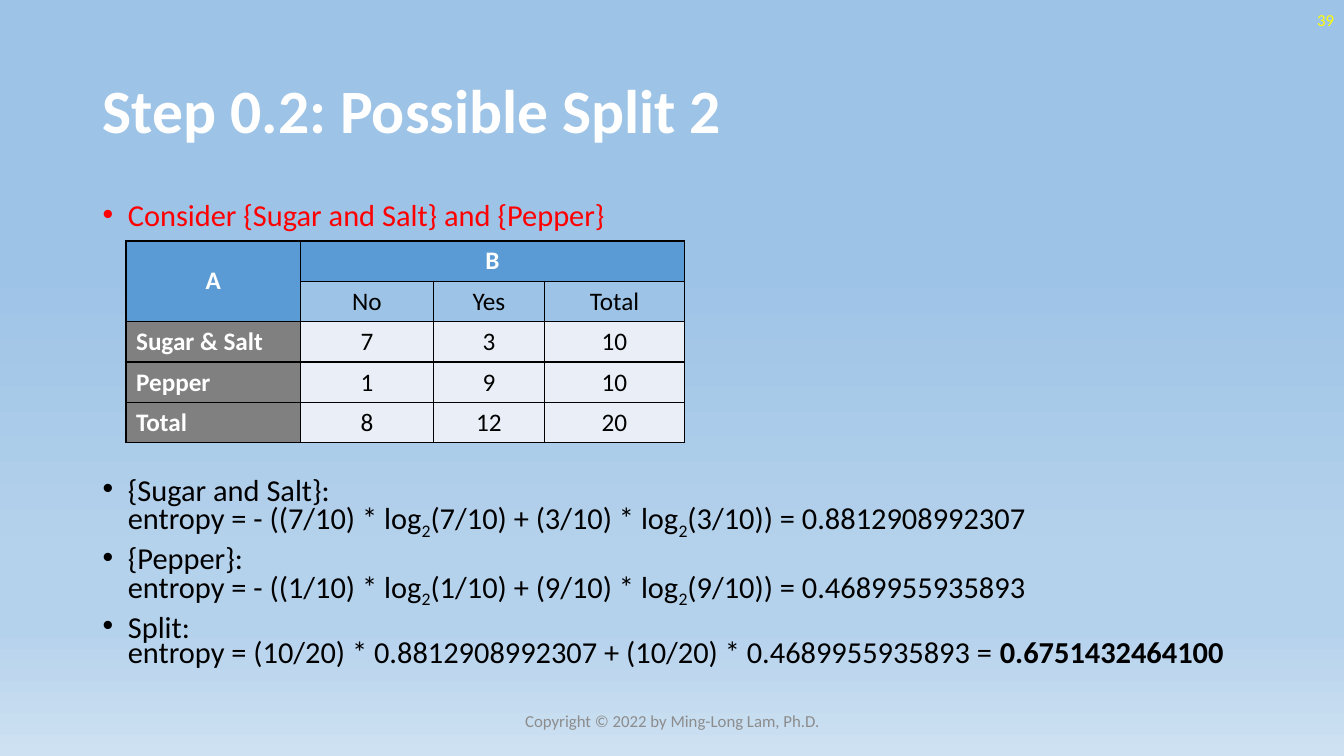
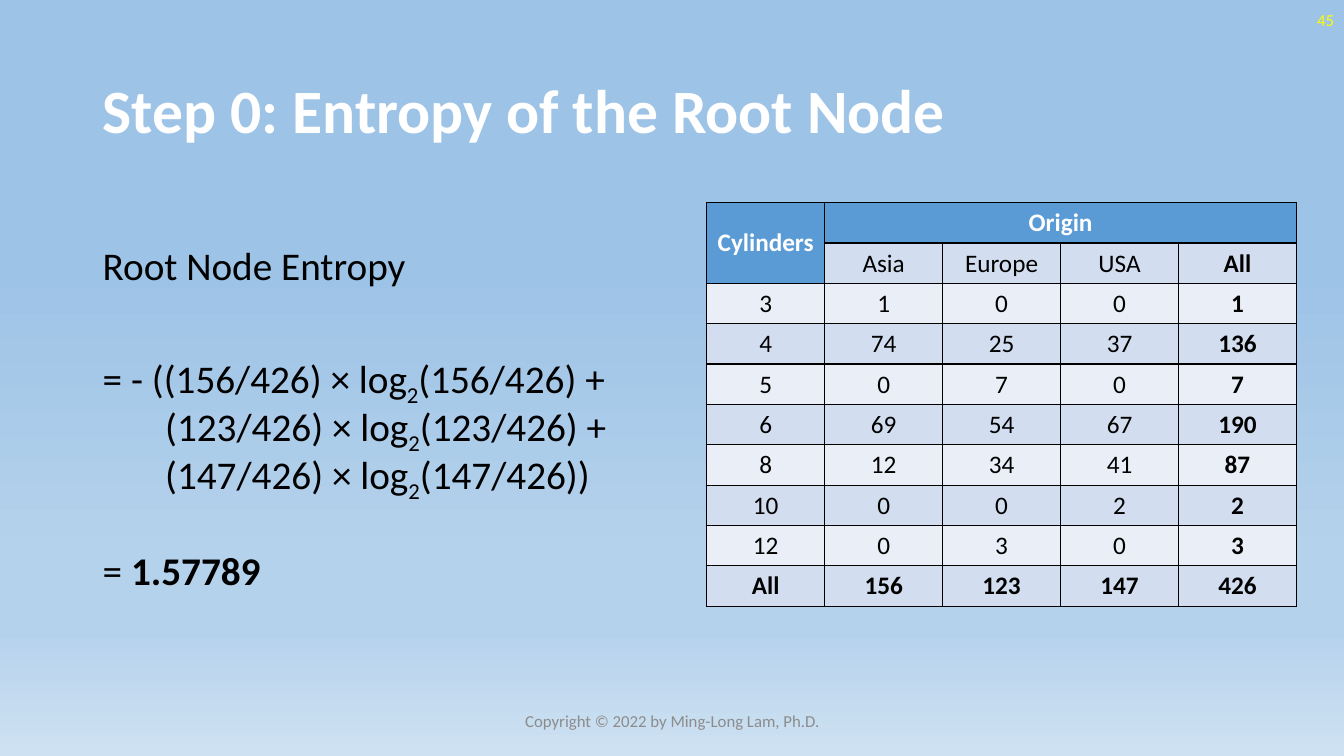
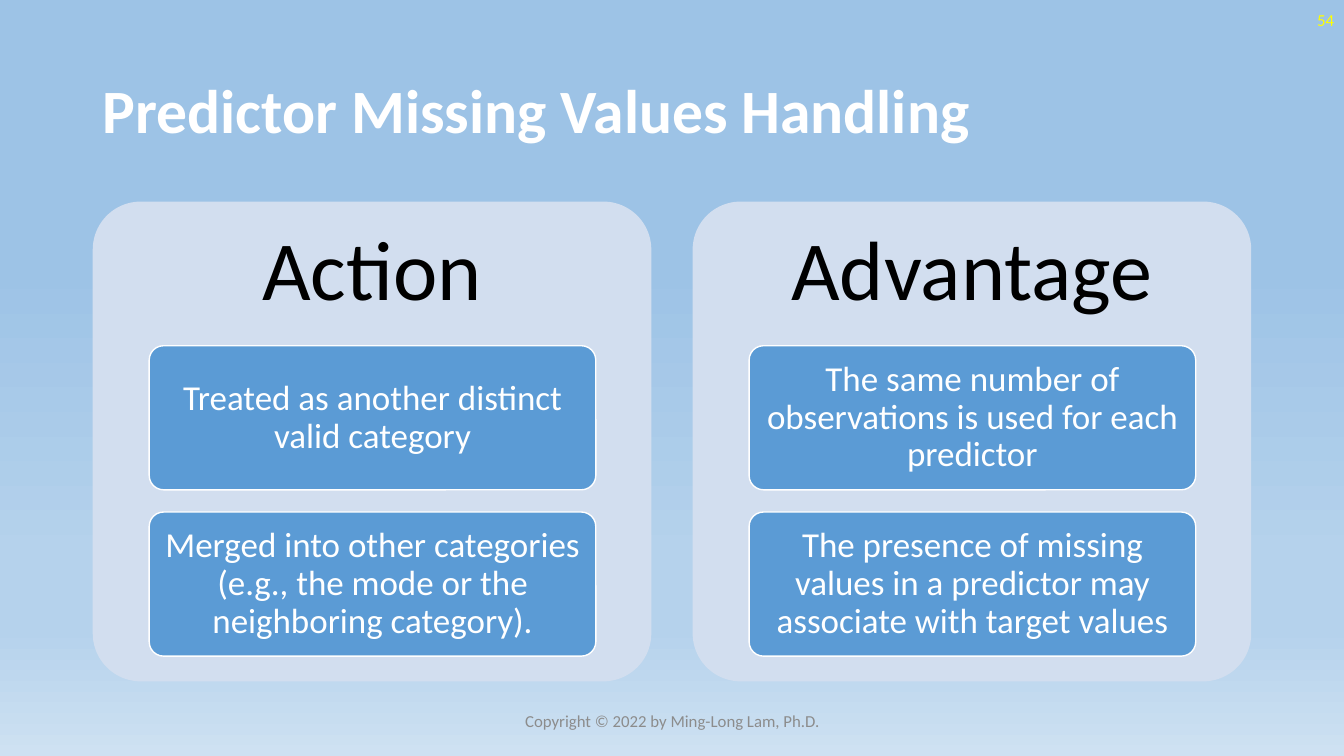
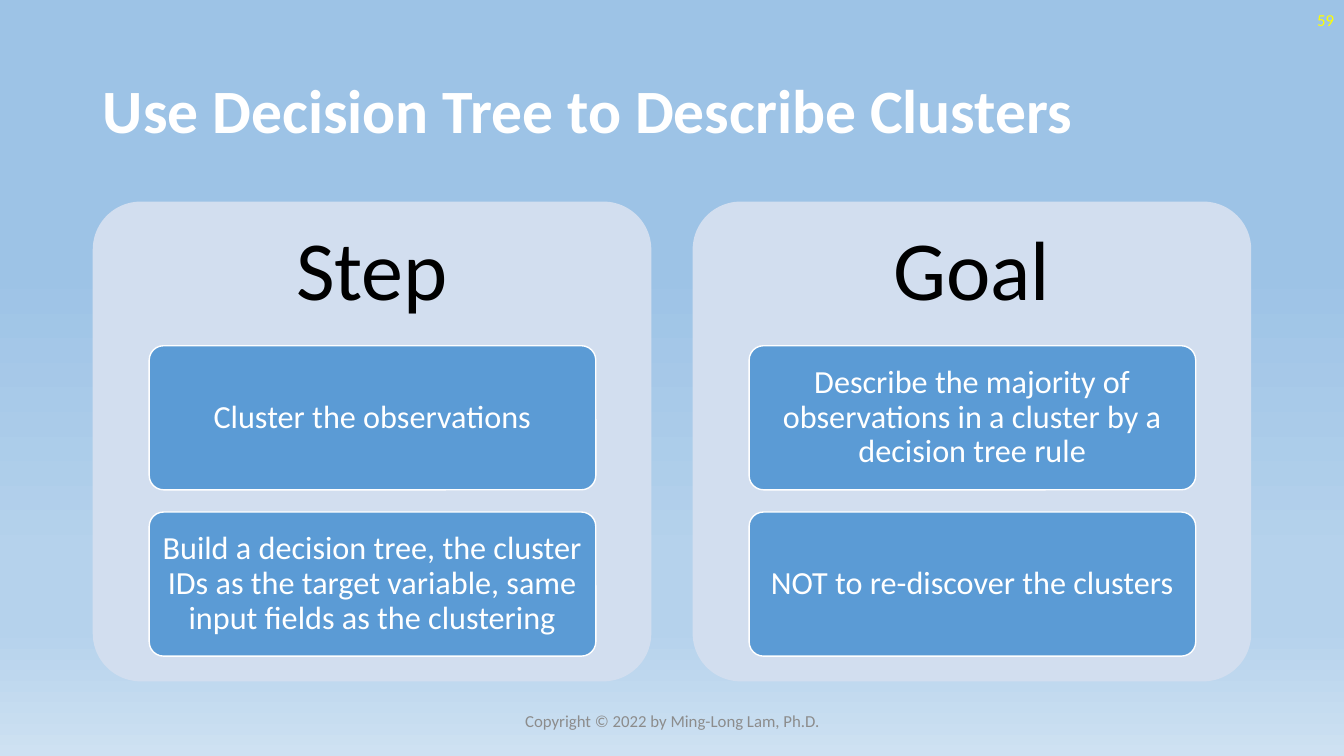
"""Build four lecture slides on decision trees and entropy."""
from dataclasses import dataclass

from lxml import etree
from pptx import Presentation
from pptx import util as u
from pptx.dml import color
from pptx.enum import shapes, text
from pptx.oxml import ns

EMU_PER_PX = 9144


@dataclass(frozen=True)
class Theme:
    """Colours and type sizes used on every slide."""
    font: str = "Calibri"
    white: str = "FFFFFF"
    black: str = "000000"
    red: str = "FF0000"
    yellow: str = "FFFF00"
    footer_grey: str = "8C8C8C"
    label_grey: str = "808080"
    blue: str = "5B9BD5"
    sky: str = "9DC3E6"
    pale: str = "D2DEEF"
    paler: str = "EAEFF7"
    backdrop: tuple = ((35, "9DC3E6"), (74, "B5D2EC"), (83, "B5D2EC"), (100, "CEE1F2"))
    title: float = 44
    heading: float = 60
    formula: float = 28
    bullet: float = 21.7
    cell: float = 18
    small: float = 12


THEME = Theme()
CENTER, LEFT, RIGHT = text.PP_ALIGN.CENTER, text.PP_ALIGN.LEFT, text.PP_ALIGN.RIGHT
MIDDLE, TOP = text.MSO_ANCHOR.MIDDLE, text.MSO_ANCHOR.TOP


def px(length):
    """Turn px into EMU."""
    return u.Emu(length * EMU_PER_PX)


def rgb(value):
    """Turn a hex string into a colour."""
    return color.RGBColor.from_string(value)


def write(para, spans, size, colour, bold=False, align=LEFT, spacing=None):
    """Add spans, each a string or a (string, kind) pair, to a paragraph."""
    para.alignment = align
    if spacing:
        para.line_spacing = spacing
    for span in spans:
        words, kind = (span, "") if isinstance(span, str) else span
        for index, line in enumerate(words.split("\n")):
            if index:
                para.add_line_break()
            run = para.add_run()
            run.text = line
            run.font.name = THEME.font
            run.font.size = u.Pt(size)
            run.font.bold = bold or kind == "bold"
            run.font.color.rgb = rgb(colour)
            if kind == "sub":
                run.font._element.set("baseline", "-25000")


def hang(para, indent, bullet_colour=None):
    """Give a paragraph a hanging indent, with a bullet if a colour is given."""
    props = para._p.get_or_add_pPr()
    props.set("marL", str(px(indent)))
    props.set("indent", str(-px(indent)))
    if bullet_colour:
        tint = etree.SubElement(props, ns.qn("a:buClr"))
        etree.SubElement(tint, ns.qn("a:srgbClr"), val=bullet_colour)
        etree.SubElement(props, ns.qn("a:buFont"), typeface="Arial")
        etree.SubElement(props, ns.qn("a:buChar"), char="•")


def add_box(page, left, top, width, height, anchor=TOP):
    """Add a wrapping text box and return its frame."""
    frame = page.shapes.add_textbox(px(left), px(top), px(width), px(height)).text_frame
    frame.word_wrap = True
    frame.vertical_anchor = anchor
    return frame


def next_para(frame, index):
    """Return the first paragraph of a frame or a new one."""
    return frame.add_paragraph() if index else frame.paragraphs[0]


def add_bullets(page, top, height, items, colour):
    """Add a list of bulleted paragraphs."""
    frame = add_box(page, 92, top, 1150, height)
    for index, spans in enumerate(items):
        para = next_para(frame, index)
        hang(para, 25, colour)
        if index:
            para.space_before = u.Pt(10)
        write(para, spans, THEME.bullet, colour, spacing=0.7)


def set_backdrop(deck):
    """Put the shared gradient on the slide master."""
    fill = deck.slide_master.background.fill
    fill.gradient()
    fill.gradient_angle = 270
    stops = deck.slide_master.element.xpath(".//p:bg//a:gsLst")[0]
    for stop in list(stops):
        stops.remove(stop)
    for percent, value in THEME.backdrop:
        stop = etree.SubElement(stops, ns.qn("a:gs"), pos=str(percent * 1000))
        etree.SubElement(stop, ns.qn("a:srgbClr"), val=value)


def add_page(deck, title, number):
    """Add a slide with title, footer and page number."""
    page = deck.slides.add_slide(deck.slide_layouts[5])
    box = page.shapes.title
    box.left, box.top, box.width, box.height = px(92), px(40), px(1150), px(145)
    box.text_frame.vertical_anchor = MIDDLE
    write(box.text_frame.paragraphs[0], [title], THEME.title, THEME.white, True, spacing=0.9)
    footer = add_box(page, 442, 695, 450, 40, MIDDLE)
    write(footer.paragraphs[0], ["Copyright © 2022 by Ming-Long Lam, Ph.D."],
          THEME.small, THEME.footer_grey, align=CENTER)
    corner = add_box(page, 1033, 0, 300, 40, MIDDLE)
    write(corner.paragraphs[0], [str(number)], THEME.small, THEME.yellow, align=RIGHT)
    return page


def add_borders(cell):
    """Draw a thin black line on each side of a cell."""
    props = cell._tc.get_or_add_tcPr()
    for index, side in enumerate(("a:lnL", "a:lnR", "a:lnT", "a:lnB")):
        line = etree.Element(ns.qn(side), w=str(u.Pt(1)))
        fill = etree.SubElement(line, ns.qn("a:solidFill"))
        etree.SubElement(fill, ns.qn("a:srgbClr"), val=THEME.black)
        props.insert(index, line)


def add_grid(page, left, top, widths, rows, style):
    """Add a table with a two-row header; style gives fill, colour, bold, alignment."""
    row_height = 40
    table = page.shapes.add_table(len(rows), len(widths), px(left), px(top), px(sum(widths)),
                                  px(row_height * len(rows))).table
    table.first_row = table.horz_banding = False
    for column, width in zip(table.columns, widths):
        column.width = px(width)
    for r, row in enumerate(rows):
        for c, value in enumerate(row):
            cell = table.cell(r, c)
            fill, colour, bold, align = style(r, c)
            cell.fill.solid()
            cell.fill.fore_color.rgb = rgb(fill)
            cell.vertical_anchor = MIDDLE
            add_borders(cell)
            if value is not None:
                write(cell.text_frame.paragraphs[0], [str(value)], THEME.cell, colour, bold, align)
    table.cell(0, 0).merge(table.cell(1, 0))
    table.cell(0, 1).merge(table.cell(0, len(widths) - 1))


def split_style(r, c):
    """Style the cells of the split table."""
    if r == 0 or (r == 1 and c == 0):
        return THEME.blue, THEME.white, True, CENTER
    if c == 0:
        return THEME.label_grey, THEME.white, True, LEFT
    return THEME.sky if r == 1 else THEME.paler, THEME.black, False, CENTER


def origin_style(r, c):
    """Style the cells of the origin table."""
    if r == 0 or (r == 1 and c == 0):
        return THEME.blue, THEME.white, True, CENTER
    return THEME.pale if r % 2 else THEME.paler, THEME.black, r == 9 or c == 4, CENTER


def add_round_box(page, left, top, width, height, fill, outline=None):
    """Add a rounded rectangle and return its frame."""
    box = page.shapes.add_shape(shapes.MSO_SHAPE.ROUNDED_RECTANGLE,
                                px(left), px(top), px(width), px(height))
    box.adjustments[0] = 0.1
    box.shadow.inherit = False
    box.fill.solid()
    box.fill.fore_color.rgb = rgb(fill)
    if outline:
        box.line.color.rgb = rgb(outline)
        box.line.width = u.Pt(1)
    else:
        box.line.fill.background()
    frame = box.text_frame
    frame.word_wrap = True
    frame.vertical_anchor = MIDDLE
    return frame


def add_panels(page, panels, card_size):
    """Add side-by-side panels, each with a heading and stacked cards."""
    panel_height, card_height = 476, 143
    for column, (heading, cards) in enumerate(panels):
        left = 92 + 595 * column
        frame = add_round_box(page, left, 200, 554, panel_height, THEME.pale)
        frame.margin_top = 0
        frame.margin_bottom = px(panel_height - card_height)
        write(frame.paragraphs[0], [heading], THEME.heading, THEME.black,
              align=CENTER, spacing=0.9)
        for row, words in enumerate(cards):
            card = add_round_box(page, left + 56, 343 + 165 * row, 443, card_height,
                                 THEME.blue, THEME.white)
            card.margin_left = card.margin_right = px(6)
            write(card.paragraphs[0], [words], card_size, THEME.white,
                  align=CENTER, spacing=0.9)


def group_entropy(name, first, second, result):
    """Return the spans for the entropy of one group of ten."""
    return [f"{{{name}}}:\nentropy = - (({first}/10) * log", ("2", "sub"),
            f"({first}/10) + ({second}/10) * log", ("2", "sub"),
            f"({second}/10)) = {result}"]


def split_page(deck):
    """Build the slide on the second possible split."""
    page = add_page(deck, "Step 0.2: Possible Split 2", 39)
    add_bullets(page, 200, 36, [["Consider {Sugar and Salt} and {Pepper}"]], THEME.red)
    add_bullets(page, 472, 204, [
        group_entropy("Sugar and Salt", 7, 3, "0.8812908992307"),
        group_entropy("Pepper", 1, 9, "0.4689955935893"),
        ["Split:\nentropy = (10/20) * 0.8812908992307 + (10/20) * 0.4689955935893 = ",
         ("0.6751432464100", "bold")],
    ], THEME.black)
    add_grid(page, 125, 239, [173, 132, 110, 139], [
        ["A", "B", None, None],
        [None, "No", "Yes", "Total"],
        ["Sugar & Salt", 7, 3, 10],
        ["Pepper", 1, 9, 10],
        ["Total", 8, 12, 20],
    ], split_style)


def root_page(deck):
    """Build the slide on the entropy of the root node."""
    page = add_page(deck, "Step 0: Entropy of the Root Node", 45)
    frame = add_box(page, 92, 240, 609, 380)
    formula = ["= - ("]
    for count, ending in ((156, " +\n"), (123, " +\n"), (147, ")")):
        formula += [f"({count}/426) × log", ("2", "sub"), f"({count}/426){ending}"]
    lines = ((0, ["Root Node Entropy"]), (47, formula), (37, ["= ", ("1.57789", "bold")]))
    for index, (gap, spans) in enumerate(lines):
        para = next_para(frame, index)
        hang(para, 62)
        if gap:
            para.space_before = u.Pt(gap)
        write(para, spans, THEME.formula, THEME.black, spacing=0.9)
    add_grid(page, 701, 201, [117] * 5, [
        ["Cylinders", "Origin", None, None, None],
        [None, "Asia", "Europe", "USA", "All"],
        [3, 1, 0, 0, 1],
        [4, 74, 25, 37, 136],
        [5, 0, 7, 0, 7],
        [6, 69, 54, 67, 190],
        [8, 12, 34, 41, 87],
        [10, 0, 0, 2, 2],
        [12, 0, 3, 0, 3],
        ["All", 156, 123, 147, 426],
    ], origin_style)


def main():
    """Build and save the deck."""
    deck = Presentation()
    deck.slide_width, deck.slide_height = px(1333), px(750)
    set_backdrop(deck)
    split_page(deck)
    root_page(deck)
    add_panels(add_page(deck, "Predictor Missing Values Handling", 54), [
        ("Action", ["Treated as another distinct valid category",
                    "Merged into other categories (e.g., the mode or the neighboring category)."]),
        ("Advantage", ["The same number of observations is used for each predictor",
                       "The presence of missing values in a predictor may associate with "
                       "target values"]),
    ], 25)
    add_panels(add_page(deck, "Use Decision Tree to Describe Clusters", 59), [
        ("Step", ["Cluster the observations",
                  "Build a decision tree, the cluster IDs as the target variable, same "
                  "input fields as the clustering"]),
        ("Goal", ["Describe the majority of observations in a cluster by a decision tree rule",
                  "NOT to re-discover the clusters"]),
    ], 23)
    deck.save("out.pptx")


if __name__ == "__main__":
    main()
